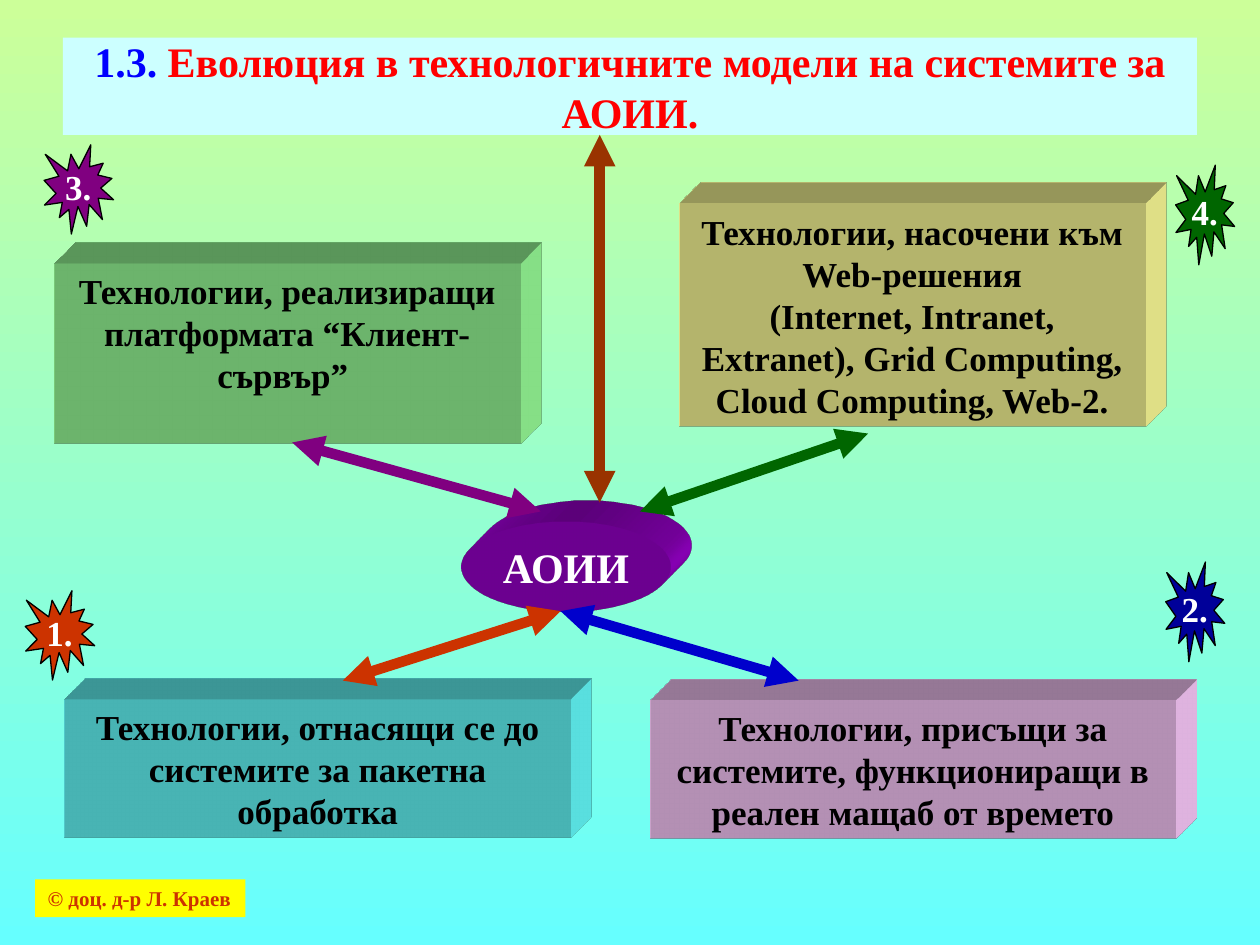
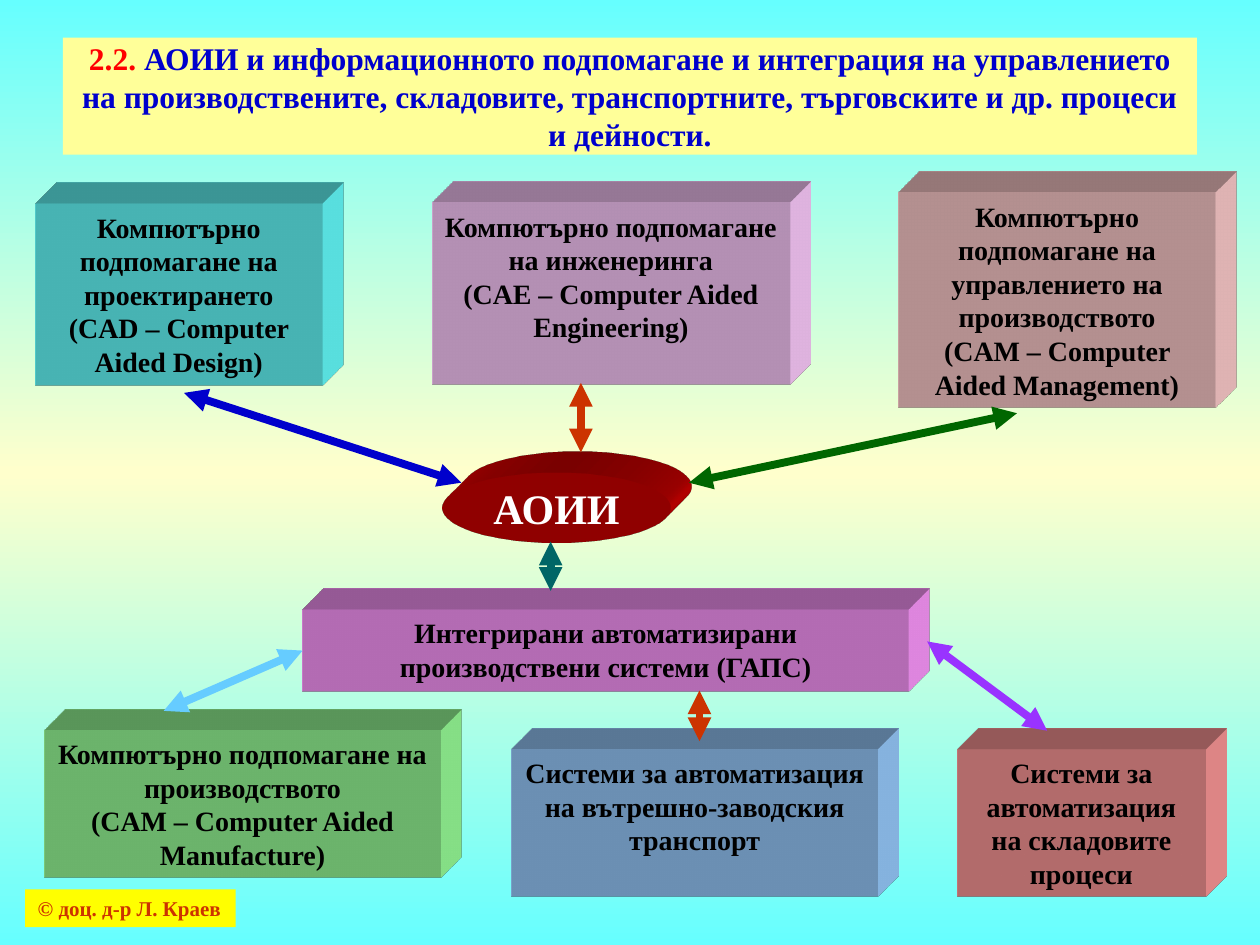
from dataclasses import dataclass

from lxml import etree
from pptx import Presentation
from pptx import oxml
from pptx import util as u
from pptx.dml.color import RGBColor
from pptx.enum import shapes, text
from pptx.oxml.ns import qn

NS = 'xmlns:a="http://schemas.openxmlformats.org/drawingml/2006/main"'


@dataclass(frozen=True)
class Theme:
    font: str = "Times New Roman"
    # type sizes in points
    head: int = 24
    long: int = 18
    hub: int = 24
    seal: int = 20
    foot: int = 12
    # colours
    black: str = "000000"
    white: str = "FFFFFF"
    red: str = "FF0000"
    blue: str = "0000FF"
    navy: str = "0000CC"
    deep: str = "000099"
    rust: str = "CC3300"
    brown: str = "993300"
    plum: str = "800080"
    green: str = "006600"
    teal: str = "006666"
    sky: str = "66CCFF"
    mauve: str = "9933FF"
    aqua: str = "66FFFF"
    ice: str = "CCFFFF"
    lime: str = "CCFF99"
    mint: str = "99FF99"
    cream: str = "FFFFCC"
    lemon: str = "FFFF99"
    pink: str = "FFCCFF"
    rose: str = "FFCCCC"
    coral: str = "FF9999"
    pale: str = "99CCFF"
    fuchsia: str = "FF99FF"
    violet: str = "9900CC"
    ruby: str = "CC0000"
    yellow: str = "FFFF00"


T = Theme()
KIND = shapes.MSO_SHAPE
MID = text.MSO_ANCHOR.MIDDLE
TOP = text.MSO_ANCHOR.TOP


def rgb(tint):
    return RGBColor.from_string(tint)


# Background: vertical gradient with evenly spaced stops
def paint(slide, tints):
    fill = slide.background.fill
    fill.gradient()
    fill.gradient_angle = 270
    stops = slide.background._cSld.find(".//" + qn("a:gsLst"))
    for stop in list(stops):
        stops.remove(stop)
    for i, tint in enumerate(tints):
        stop = etree.SubElement(stops, qn("a:gs"))
        stop.set("pos", str(i * 100000 // (len(tints) - 1)))
        etree.SubElement(stop, qn("a:srgbClr")).set("val", tint)


# Text: each part is (words, colour); a newline is a line break
def write(shape, parts, size, anchor=MID, wrap=True, align=text.PP_ALIGN.CENTER):
    frame = shape.text_frame
    frame.word_wrap = wrap
    frame.vertical_anchor = anchor
    para = frame.paragraphs[0]
    para.alignment = align
    for words, tint in parts:
        for i, line in enumerate(words.split("\n")):
            if i:
                para.add_line_break()
            run = para.add_run()
            run.text = line
            run.font.name = T.font
            run.font.size = u.Pt(size)
            run.font.bold = True
            run.font.color.rgb = rgb(tint)


def form(slide, kind, at, tint, edge=None):
    shape = slide.shapes.add_shape(kind, *map(u.Cm, at))
    shape.shadow.inherit = False
    shape.fill.solid()
    shape.fill.fore_color.rgb = rgb(tint)
    if edge:
        shape.line.color.rgb = rgb(edge)
        shape.line.width = u.Pt(0.75)
    else:
        shape.line.fill.background()
    return shape


# Oblique depth towards the top right
def extrude(shape, tint):
    props = shape._element.spPr
    props.append(oxml.parse_xml(
        f'<a:scene3d {NS}><a:camera prst="legacyObliqueTopRight"/>'
        '<a:lightRig rig="legacyFlat3" dir="b"/></a:scene3d>'))
    props.append(oxml.parse_xml(
        f'<a:sp3d {NS} extrusionH="430200" prstMaterial="legacyMatte">'
        '<a:bevelT w="13500" h="13500" prst="angle"/>'
        '<a:bevelB w="13500" h="13500" prst="angle"/>'
        f'<a:extrusionClr><a:srgbClr val="{tint}"/></a:extrusionClr></a:sp3d>'))


def title(slide, high, tint, parts, size):
    shape = form(slide, KIND.RECTANGLE, (1.27, 0.76, 22.86, high), tint)
    write(shape, parts, size)


def block(slide, at, tint, words, size):
    shape = form(slide, KIND.RECTANGLE, at, tint)
    extrude(shape, tint)
    write(shape, [(words, T.black)], size, TOP)
    return shape


def hub(slide, at, tint):
    shape = form(slide, KIND.OVAL, at, tint)
    extrude(shape, tint)
    write(shape, [("АОИИ", T.white)], T.hub, wrap=False)


def seal(slide, at, tint, words):
    shape = form(slide, KIND.EXPLOSION1, at, tint, T.black)
    write(shape, [(words, T.white)], T.seal, wrap=False)


def footer(slide, left, top):
    shape = form(slide, KIND.RECTANGLE, (left, top, 4.24, 0.76), T.yellow)
    write(shape, [("© доц. д-р Л. Краев", T.rust)], T.foot, TOP, False,
          text.PP_ALIGN.LEFT)


# Double-headed arrow
def arrow(slide, start, end, tint, width):
    line = slide.shapes.add_connector(
        shapes.MSO_CONNECTOR.STRAIGHT, *map(u.Cm, start + end))
    line.line.color.rgb = rgb(tint)
    line.line.width = u.Pt(width)
    stroke = line.line._get_or_add_ln()
    for tip in ("a:headEnd", "a:tailEnd"):
        etree.SubElement(stroke, qn(tip)).set("type", "triangle")
    etree.SubElement(line._element.spPr, qn("a:effectLst"))
    return line


def models(slide):
    paint(slide, [T.lime, T.aqua])
    title(slide, 1.96, T.ice, [
        ("1.3.", T.blue),
        (" Еволюция в технологичните модели на системите за АОИИ.", T.red),
    ], T.head)
    hub(slide, (9.3, 10.52, 4.22, 1.8), T.violet)
    footer(slide, 0.71, 17.73)

    # Four technology blocks, each with its numbered seal
    left, right = (1.4, 1.8), (1.19, 2.01)
    steps = [
        ((1.3, 14.1, 10.21, 2.79), T.aqua, (0.51, 11.91) + left, T.rust,
         "Технологии, отнасящи се до системите за пакетна обработка"),
        ((13.11, 14.12, 10.59, 2.79), T.pink, (23.5, 11.33) + right, T.deep,
         "Технологии, присъщи за системите, функциониращи в реален мащаб "
         "от времето"),
        ((1.09, 5.31, 9.4, 3.63), T.mint, (0.89, 2.92) + left, T.plum,
         "Технологии, реализиращи платформата “Клиент-сървър” "),
        ((13.69, 4.11, 9.4, 4.5), T.lemon, (23.7, 3.33) + right, T.green,
         "Технологии, насочени към Web-решения\n(Internet, Intranet, Extranet), "
         "Grid Computing, Cloud Computing, Web-2."),
    ]
    for i, (at, tint, spot, mark, words) in enumerate(steps, 1):
        block(slide, at, tint, words, 20)
        seal(slide, spot, mark, f"{i}.")

    # Arrows around the hub
    base = (11.3, 12.32)
    for start, end, tint in [
        ((12.09, 2.72), (12.09, 10.13), T.brown),
        (base, (6.91, 13.72), T.rust),
        (base, (16.1, 13.72), T.navy),
        ((10.9, 10.31), (5.89, 8.92), T.plum),
        ((12.9, 10.31), (17.5, 8.74), T.green),
    ]:
        arrow(slide, start, end, tint, 6)


def systems(slide):
    paint(slide, [T.aqua, T.cream, T.aqua])
    title(slide, 2.36, T.lemon, [
        ("2.2. ", T.red),
        ("АОИИ и информационното подпомагане и интеграция на управлението на "
         "производствените, складовите, транспортните, търговските и др. "
         "процеси и дейности.", T.navy),
    ], T.long)
    hub(slide, (8.92, 9.53, 4.6, 1.4), T.ruby)

    # Computer-aided systems and the integrated systems below them
    for at, tint, words in [
        ((0.71, 4.11, 5.79, 3.66), T.aqua,
         "Компютърно подпомагане на проектирането\n"
         "(CAD – Computer Aided Design)"),
        ((8.71, 4.09, 7.21, 3.66), T.pink,
         "Компютърно подпомагане на инженеринга\n"
         "(CAE – Computer Aided Engineering)"),
        ((18.11, 3.89, 6.4, 4.32), T.rose,
         "Компютърно подпомагане на управлението на производството\n"
         "(CAM – Computer Aided Management)"),
        ((0.89, 14.73, 8, 2.97), T.mint,
         "Компютърно подпомагане на производството\n"
         "(CAM – Computer Aided Manufacture)"),
        ((10.31, 15.11, 7.39, 2.97), T.pale,
         "Системи за автоматизация на вътрешно-заводския транспорт"),
        ((19.3, 15.11, 5, 2.97), T.coral,
         "Системи за автоматизация на складовите процеси"),
    ]:
        block(slide, at, tint, words, 16)
    core = block(slide, (6.1, 12.29, 12.22, 1.65), T.fuchsia,
                 "Интегрирани автоматизирани производствени системи (ГАПС)", 16)
    footer(slide, 0.51, 17.93)

    # Arrows between the levels
    for start, end, tint in [
        ((3.71, 7.92), (9.3, 9.73), T.navy),
        ((11.71, 7.72), (11.71, 9.12), T.rust),
        ((13.89, 9.73), (20.5, 8.33), T.green),
        ((11.1, 10.92), (11.1, 11.91), T.teal),
        ((14.1, 13.92), (14.1, 14.94), T.rust),
        ((18.69, 12.93), (21.11, 14.73), T.mauve),
    ]:
        arrow(slide, start, end, tint, 4.5)
    side = arrow(slide, (6.1, 13.12), (3.3, 14.33), T.sky, 4.5)
    side.begin_connect(core, 1)


def main():
    deck = Presentation()
    deck.slide_width, deck.slide_height = u.Cm(25.4), u.Cm(19.05)
    for draw in (models, systems):
        draw(deck.slides.add_slide(deck.slide_layouts[6]))
    deck.save("out.pptx")


if __name__ == "__main__":
    main()
